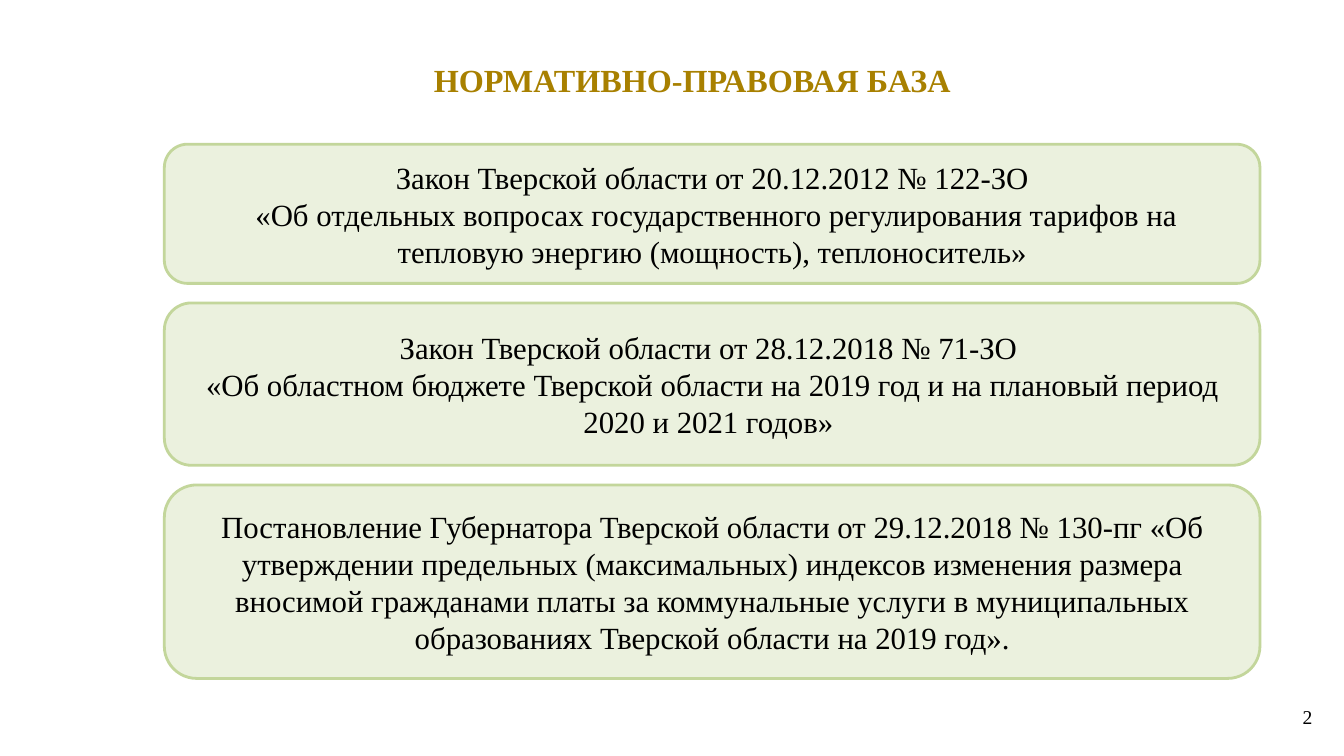
import pptx
import pptx.dml.color
import pptx.enum.shapes
import pptx.enum.text
import pptx.util

Pt = pptx.util.Pt
ALIGN = pptx.enum.text.PP_ALIGN
FONT = "Times New Roman"
COLORS = {"title": "A88000", "text": "000000", "card": "EBF1DE", "border": "C3D69B"}
CARD_GAP = 14
LAWS = [
    (99.4, ["Закон Тверской области от 20.12.2012 № 122-ЗО",
            " «Об отдельных вопросах государственного регулирования тарифов на "
            "тепловую энергию (мощность), теплоноситель»"]),
    (116, ["Закон Тверской области от 28.12.2018 № 71-ЗО ",
           "«Об областном бюджете Тверской области на 2019 год и на плановый период "
           "2020 и 2021 годов» "]),
    (138.2, ["Постановление Губернатора Тверской области от 29.12.2018 № 130-пг «Об "
             "утверждении предельных (максимальных) индексов изменения размера "
             "вносимой гражданами платы за коммунальные услуги в муниципальных "
             "образованиях Тверской области на 2019 год»."]),
]


def color(name):
    return pptx.dml.color.RGBColor.from_string(COLORS[name])


def write(shape, lines, size, color_name="text", align=ALIGN.CENTER, bold=False):
    frame = shape.text_frame
    frame.word_wrap = True
    frame.auto_size = pptx.enum.text.MSO_AUTO_SIZE.NONE
    frame.vertical_anchor = pptx.enum.text.MSO_ANCHOR.MIDDLE
    frame.text = "\n".join(lines)
    for paragraph in frame.paragraphs:
        paragraph.alignment = align
        paragraph.font.name = FONT
        paragraph.font.size = Pt(size)
        paragraph.font.bold = bold
        paragraph.font.color.rgb = color(color_name)


def add_title(slide, left, top, width, height):
    title = slide.shapes.title
    title.left, title.top, title.width, title.height = map(Pt, (left, top, width, height))
    write(title, ["НОРМАТИВНО-ПРАВОВАЯ БАЗА"], 23, "title", bold=True)


def add_law_cards(slide, left, top, width):
    """Stack one rounded card per law, downwards from top."""
    for height, lines in LAWS:
        card = slide.shapes.add_shape(
            pptx.enum.shapes.MSO_SHAPE.ROUNDED_RECTANGLE,
            Pt(left), Pt(top), Pt(width), Pt(height))
        card.shadow.inherit = False
        card.fill.solid()
        card.fill.fore_color.rgb = color("card")
        card.line.color.rgb = color("border")
        card.line.width = Pt(2)
        write(card, lines, 22)
        top += height + CARD_GAP


def add_page_number(slide, left, top, width, height):
    box = slide.shapes.add_textbox(Pt(left), Pt(top), Pt(width), Pt(height))
    write(box, ["2"], 14, align=ALIGN.RIGHT)
    frame = box.text_frame
    frame.margin_left = 0
    frame.margin_right = Pt(8.64)
    frame.margin_top = frame.margin_bottom = Pt(4.32)


def main():
    presentation = pptx.Presentation()
    presentation.slide_width = Pt(960)
    presentation.slide_height = Pt(540)
    slide = presentation.slides.add_slide(presentation.slide_layouts[5])
    add_title(slide, 131.8, 30.2, 725.8, 53.3)
    add_law_cards(slide, 117.4, 103, 782.6)
    add_page_number(slide, 922.3, 502.6, 23.8, 18.7)
    presentation.save("out.pptx")


if __name__ == "__main__":
    main()
